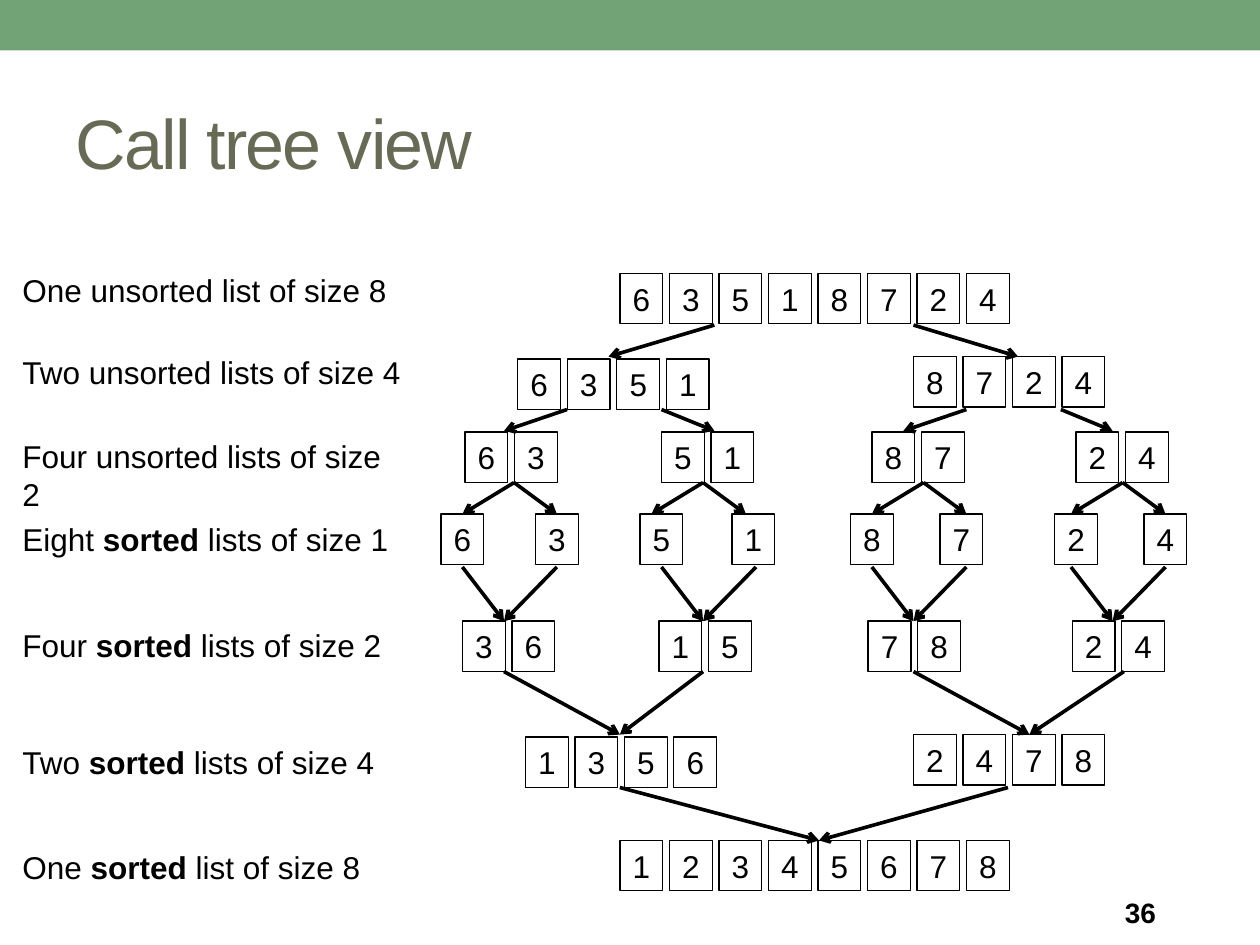
from dataclasses import dataclass

from lxml import etree
from pptx import Presentation
from pptx.dml.color import RGBColor
from pptx.enum.shapes import MSO_CONNECTOR, MSO_SHAPE
from pptx.enum.text import MSO_ANCHOR, PP_ALIGN
from pptx.oxml.ns import qn
from pptx.util import Inches, Pt

RECTANGLE = MSO_SHAPE.RECTANGLE
STRAIGHT = MSO_CONNECTOR.STRAIGHT
TOP, MIDDLE = MSO_ANCHOR.TOP, MSO_ANCHOR.MIDDLE
LEFT, CENTER = PP_ALIGN.LEFT, PP_ALIGN.CENTER


@dataclass(frozen=True)
class Theme:
    font: str = "Arial"
    band: RGBColor = RGBColor(0x72, 0xA3, 0x76)
    title: RGBColor = RGBColor(0x67, 0x6A, 0x55)
    ink: RGBColor = RGBColor(0, 0, 0)
    title_size: Pt = Pt(40)
    body_size: Pt = Pt(18)
    number_size: Pt = Pt(16)
    box_line: Pt = Pt(0.75)
    arrow_line: Pt = Pt(2.08)


theme = Theme()
BOX_WIDTH, BOX_HEIGHT = 0.34, 0.4
BOX_PITCH = 2.75 / 7  # eight boxes span 2.75 inches from first left to last left

# Each level: label (bold between asterisks), label top, lists (left, top, digits),
# arrow start and end heights, arrows (start x, end x)
levels = [
    ("One unsorted list of size 8", 2.1, [(4.92, 2.17, "63518724")], None, []),
    ("Two unsorted lists of size 4", 2.75,
     [(4.11, 2.85, "6351"), (7.25, 2.83, "8724")],
     (2.58, 2.83), [(5.67, 4.83), (7.25, 8.08)]),
    ("Four unsorted lists of size 2", 3.42,
     [(3.69, 3.43, "63"), (5.25, 3.43, "51"), (6.92, 3.43, "87"), (8.54, 3.43, "24")],
     (3.25, 3.42), [(4.5, 4), (5.25, 5.67), (7.67, 7.17), (8.42, 8.83)]),
    ("Eight *sorted* lists of size 1", 4.08,
     [(left, 4.08, digit) for left, digit in
      zip((3.5, 4.25, 5.08, 5.81, 6.75, 7.46, 8.37, 9.08), "63518724")],
     (3.83, 4.08),
     [(x, x + shift) for x in (4.08, 5.58, 7.33, 8.91) for shift in (-0.41, 0.34)]),
    ("Four *sorted* lists of size 2", 4.92,
     [(3.67, 4.93, "36"), (5.23, 4.93, "15"), (6.89, 4.93, "78"), (8.51, 4.93, "24")],
     (4.5, 4.93),
     [(x + shift, x) for x in (4, 5.58, 7.25, 8.83) for shift in (-0.33, 0.42)]),
    ("Two *sorted* lists of size 4", 5.85,
     [(4.17, 5.85, "1356"), (7.25, 5.83, "2478")],
     (5.33, 5.83), [(4, 4.92), (5.58, 4.92), (7.25, 8.17), (8.92, 8.17)]),
    ("One *sorted* list of size 8", 6.68, [(4.92, 6.67, "12345678")],
     (6.25, 6.67), [(4.92, 6.5), (8, 6.5)]),
]


def write(shape, text, size, color, anchor=TOP, align=LEFT, wrap=False):
    """Fill a shape with one paragraph; parts between asterisks are bold."""
    frame = shape.text_frame
    frame.word_wrap = wrap
    frame.vertical_anchor = anchor
    para = frame.paragraphs[0]
    para.alignment = align
    for index, part in enumerate(text.split("*")):
        if part:
            span = para.add_run()
            span.text = part
            span.font.name = theme.font
            span.font.size = size
            span.font.bold = index % 2 == 1
            span.font.color.rgb = color
    return para


def add_arrow(page, start_x, start_y, end_x, end_y):
    arrow = page.shapes.add_connector(
        STRAIGHT, Inches(start_x), Inches(start_y), Inches(end_x), Inches(end_y))
    arrow.line.color.rgb = theme.ink
    arrow.line.width = theme.arrow_line
    properties = arrow.line._get_or_add_ln()
    etree.SubElement(properties, qn("a:tailEnd"), type="arrow")
    etree.SubElement(properties.getparent(), qn("a:effectLst"))


deck = Presentation()
deck.slide_width, deck.slide_height = Inches(10), Inches(7.5)
page = deck.slides.add_slide(deck.slide_layouts[6])

# Top band
band = page.shapes.add_shape(RECTANGLE, 0, 0, deck.slide_width, Inches(0.4))
band.shadow.inherit = False
band.fill.solid()
band.fill.fore_color.rgb = theme.band
band.line.fill.background()

# Title, set slightly tight
title = page.shapes.add_textbox(Inches(0.5), Inches(0.58), Inches(9), Inches(1.08))
heading = write(title, "Call tree view", theme.title_size, theme.title, MIDDLE, wrap=True)
heading.runs[0].font._element.set("spc", "-100")

# Page number
number = page.shapes.add_textbox(Inches(8.83), Inches(7.06), Inches(1.17), Inches(0.36))
write(number, "*36*", theme.number_size, theme.ink, MIDDLE, wrap=True)

# Call tree, level by level
for label, label_top, lists, arrow_heights, arrows in levels:
    label_box = page.shapes.add_textbox(
        Inches(0.08), Inches(label_top), Inches(3.2), Inches(BOX_HEIGHT))
    write(label_box, label, theme.body_size, theme.ink)

    for left, top, digits in lists:
        for position, digit in enumerate(digits):
            box = page.shapes.add_shape(
                RECTANGLE, Inches(left + position * BOX_PITCH), Inches(top),
                Inches(BOX_WIDTH), Inches(BOX_HEIGHT))
            box.shadow.inherit = False
            box.fill.background()
            box.line.color.rgb = theme.ink
            box.line.width = theme.box_line
            write(box, digit, theme.body_size, theme.ink, align=CENTER)

    for start_x, end_x in arrows:
        add_arrow(page, start_x, arrow_heights[0], end_x, arrow_heights[1])

deck.save("out.pptx")
